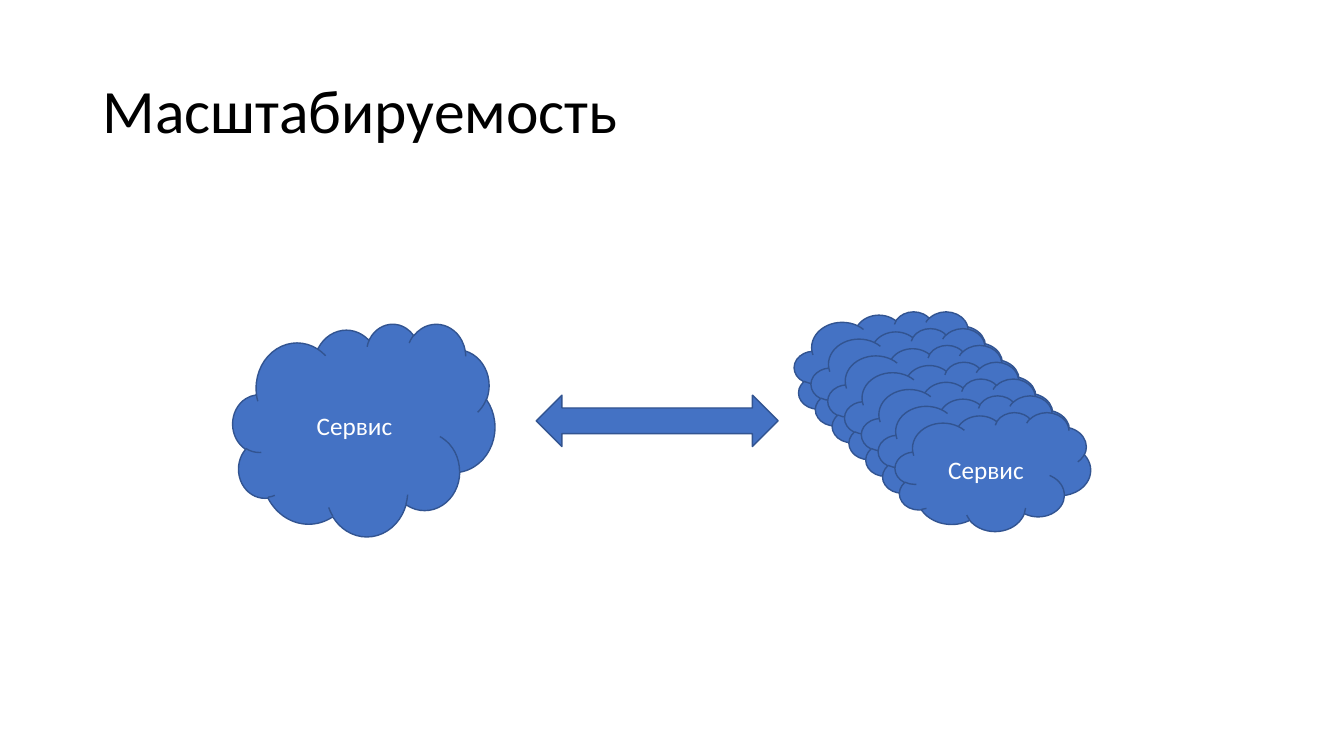
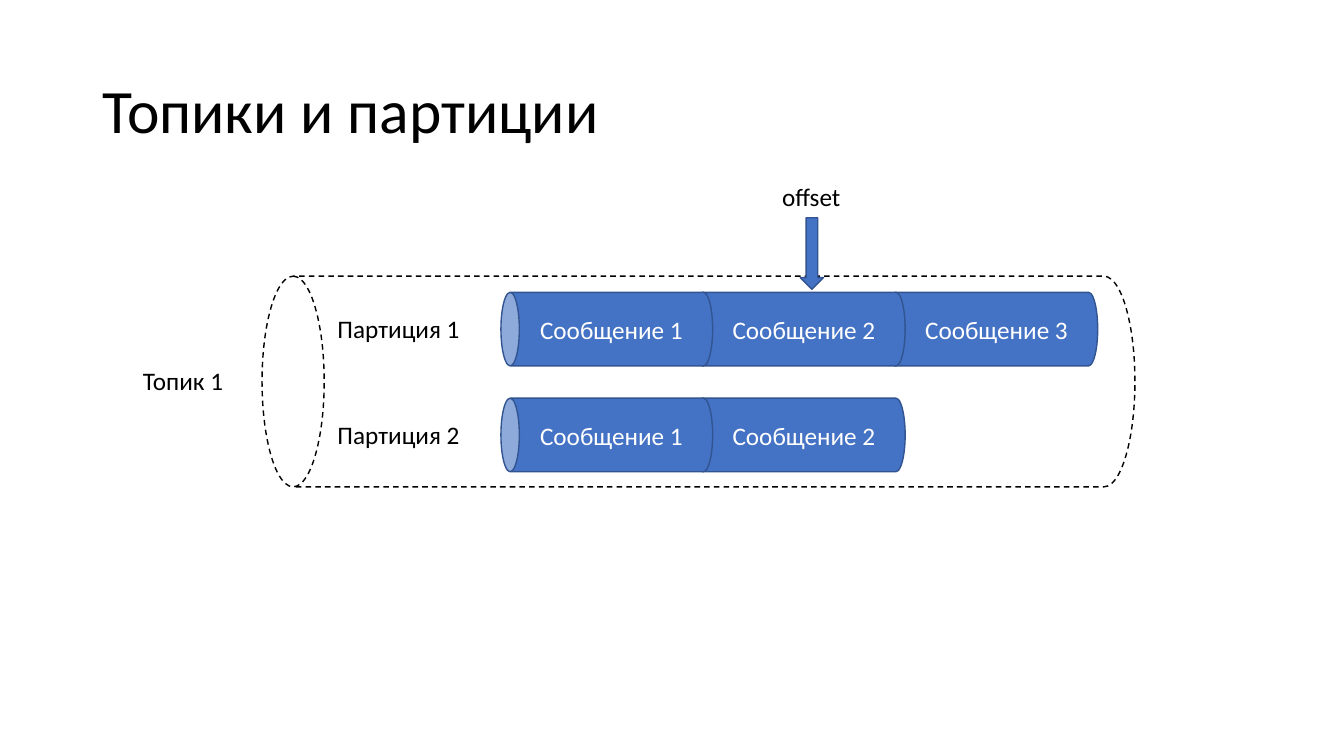
from collections import namedtuple
from dataclasses import dataclass

from pptx import Presentation
from pptx import util as u
from pptx.dml.color import RGBColor
from pptx.enum import dml, shapes, text

PX = 9144  # EMU in one px: 100 px to the inch
Box = namedtuple("Box", "x y w h")
Kind = shapes.MSO_SHAPE


@dataclass(frozen=True)
class Theme:
    face: str = "Calibri"
    ink: str = "000000"
    pale: str = "FFFFFF"
    fill: str = "4472C4"
    edge: str = "325491"
    head: int = 44
    body: int = 18
    line: int = 1


T = Theme()


def emu(box):
    return [round(n * PX) for n in box]


def apply(part, **form):
    for name, value in form.items():
        setattr(part, name, value)


def write(frame, words, size=T.body, color=T.ink, wrap=True, para=None, **form):
    apply(frame, word_wrap=wrap, **form)
    line = frame.paragraphs[0]
    line.text = words
    apply(line, **(para or {}))
    apply(line.font, name=T.face, size=u.Pt(size))
    line.font.color.rgb = RGBColor.from_string(color)


def label(parts, box, words, **form):
    write(parts.add_textbox(*emu(box)).text_frame, words, **form)


def shape(parts, kind, box, words="", fill=T.fill, edge=T.edge):
    item = parts.add_shape(kind, *emu(box))
    item.shadow.inherit = False
    if fill:
        item.fill.solid()
        item.fill.fore_color.rgb = RGBColor.from_string(fill)
    else:
        item.fill.background()
    item.line.color.rgb = RGBColor.from_string(edge)
    item.line.width = u.Pt(T.line)
    if words:
        write(item.text_frame, words, color=T.pale,
              vertical_anchor=text.MSO_ANCHOR.MIDDLE,
              para={"alignment": text.PP_ALIGN.CENTER})
    return item


def pipe(parts, box, words="", **form):
    """A can lying on its side inside the box, with level text."""
    shift = (box.w - box.h) / 2
    turned = Box(box.x + shift, box.y - shift, box.h, box.w)
    item = shape(parts, Kind.CAN, turned, words, **form)
    item.rotation = 270
    item.text_frame._txBody.bodyPr.set("vert", "vert")
    return item


def page(deck, title):
    parts = deck.slides.add_slide(deck.slide_layouts[6]).shapes
    label(parts, Box(92, 40, 1150, 145), title, size=T.head,
          vertical_anchor=text.MSO_ANCHOR.MIDDLE, para={"line_spacing": 0.9})
    return parts


def stack(parts, box, words, count=7, step=16.67):
    """Clouds stepping down to the right; the front one has the text."""
    for i in range(count):
        place = box._replace(x=box.x + i * step, y=box.y + i * step)
        shape(parts, Kind.CLOUD, place, words if i == count - 1 else "")


def lane(parts, box, name, count, pitch=191):
    """A partition: its name, then joined messages, the last one at the back."""
    for i in reversed(range(count)):
        cell = Box(box.x + 172 + i * pitch, box.y, 210, box.h)
        pipe(parts, cell, f"Сообщение {i + 1}")
    label(parts, Box(box.x, box.y + 16, 143, 40), name, wrap=False)


def topic(parts, box, name, counts, pitch=105):
    """A dashed pipe around its partitions, named on the left."""
    group = parts.add_group_shape().shapes
    for i, count in enumerate(counts):
        row = Box(box.x + 65, box.y + 16 + i * pitch, 754, 73)
        lane(group, row, f"Партиция {i + 1}", count)
    label(group, Box(box.x - 128, box.y + 84, 101, 40), name, wrap=False)
    shell = pipe(group, box, fill=None, edge=T.ink)
    shell.adjustments[0] = 0.295
    shell.line.dash_style = dml.MSO_LINE.DASH


def mark(parts, box, words):
    """A caption with an arrow pointing down from it."""
    label(parts, box._replace(h=40), words)
    shape(parts, Kind.DOWN_ARROW, Box(box.x + 28, box.y + 41, 23, box.h - 41))


def scale(deck):
    parts = page(deck, "Масштабируемость")
    stack(parts, Box(788, 309, 194, 118), "Сервис")
    shape(parts, Kind.LEFT_RIGHT_ARROW, Box(532, 392, 240, 51))
    shape(parts, Kind.CLOUD, Box(231, 321, 260, 211), "Сервис")


def topics(deck):
    parts = page(deck, "Топики и партиции")
    topic(parts, Box(260, 274, 866, 209), "Топик 1", (3, 2))
    mark(parts, Box(766, 175, 88, 112), "offset")


def main():
    deck = Presentation()
    apply(deck, slide_width=u.Inches(13.333), slide_height=u.Inches(7.5))
    scale(deck)
    topics(deck)
    deck.save("out.pptx")


if __name__ == "__main__":
    main()
